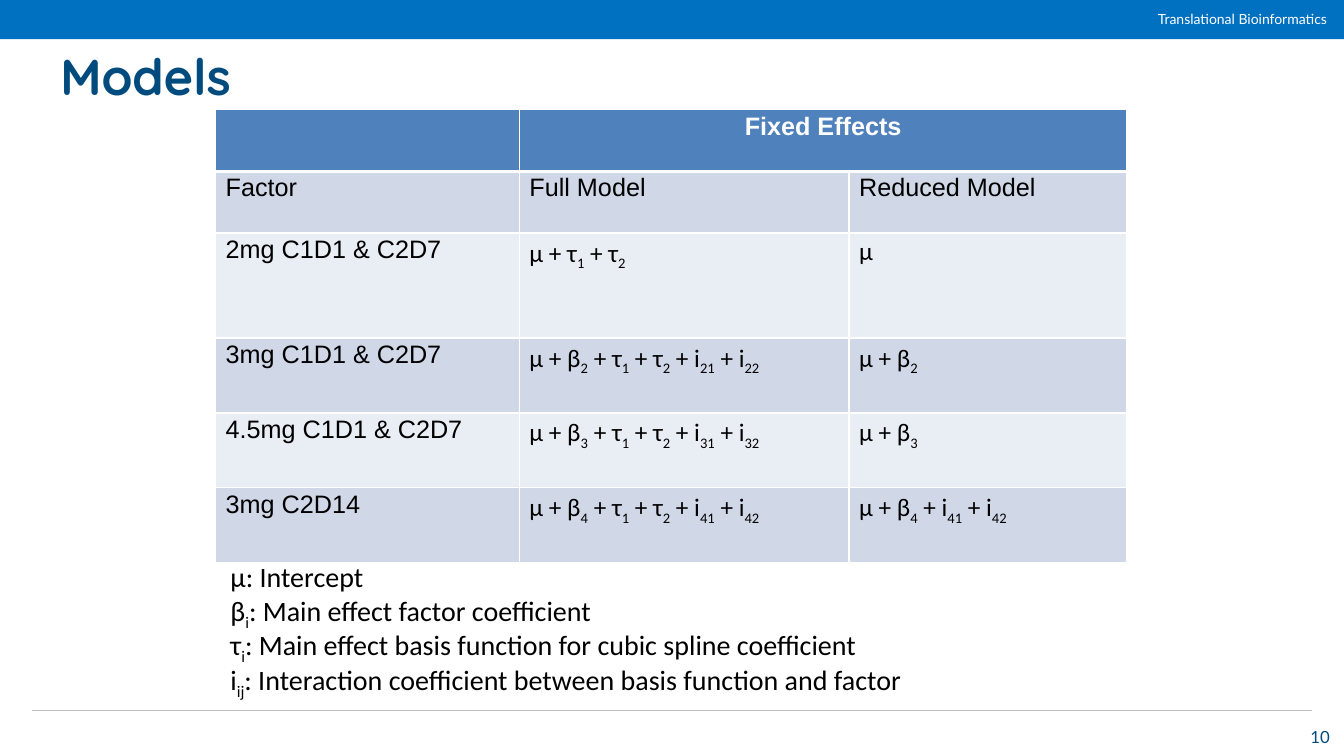
from dataclasses import dataclass

from lxml import etree
from pptx import Presentation
from pptx.dml.color import RGBColor
from pptx.enum.shapes import MSO_CONNECTOR, MSO_SHAPE
from pptx.enum.text import MSO_ANCHOR, PP_ALIGN
from pptx.oxml.ns import qn
from pptx.util import Pt

LEFT, CENTER, RIGHT = PP_ALIGN.LEFT, PP_ALIGN.CENTER, PP_ALIGN.RIGHT
TOP, MIDDLE = MSO_ANCHOR.TOP, MSO_ANCHOR.MIDDLE
RECT, STRAIGHT = MSO_SHAPE.RECTANGLE, MSO_CONNECTOR.STRAIGHT
TITLE_ONLY = 5

COLORS = {
    "bar": "0070C0", "navy": "004B7E", "rule": "BFBFBF",
    "white": "FFFFFF", "black": "000000",
    "header": "4F81BD", "band_dark": "D0D8E8", "band_light": "E9EDF4",
}


@dataclass(frozen=True)
class Style:
    font: str
    size: float
    color: str = "black"
    bold: bool = False
    align: PP_ALIGN = LEFT
    spacing: float = 0.9


@dataclass(frozen=True)
class TextBox:
    left: float
    top: float
    width: float
    height: float
    lines: tuple[str, ...]
    style: Style
    wrap: bool = False


HEADER = Style("Arial", 18, "white", True, CENTER)
LABEL = Style("Arial", 18)
FORMULA = Style("Calibri", 18)


def rgb(name: str) -> RGBColor:
    return RGBColor.from_string(COLORS[name])


def write(tf, lines: tuple[str, ...], style: Style) -> None:
    """Write one paragraph per line; every second part between bars is a subscript."""
    for n, line in enumerate(lines):
        p = tf.paragraphs[0] if n == 0 else tf.add_paragraph()
        p.alignment, p.line_spacing = style.align, style.spacing
        p.space_before = Pt(0)
        for k, part in enumerate(line.split("|")):
            if not part:
                continue
            r = p.add_run()
            r.text = part
            r.font.name, r.font.size = style.font, Pt(style.size)
            r.font.bold = style.bold
            r.font.color.rgb = rgb(style.color)
            if k % 2:
                r._r.get_or_add_rPr().set("baseline", "-25000")


def add_text(s, box: TextBox) -> None:
    sp = s.shapes.add_textbox(Pt(box.left), Pt(box.top), Pt(box.width), Pt(box.height))
    tf = sp.text_frame
    tf.word_wrap = box.wrap
    tf.vertical_anchor = TOP
    write(tf, box.lines, box.style)


def set_borders(cell, bottom: float) -> None:
    tc_pr = cell._tc.get_or_add_tcPr()
    widths = (("a:lnL", 1), ("a:lnR", 1), ("a:lnT", 1), ("a:lnB", bottom))
    for n, (tag, width) in enumerate(widths):
        ln = etree.Element(qn(tag), w=str(Pt(width)))
        fill = etree.SubElement(ln, qn("a:solidFill"))
        etree.SubElement(fill, qn("a:srgbClr"), val=COLORS["white"])
        tc_pr.insert(n, ln)


def full_model(dose: int) -> str:
    return f"μ + β|{dose}| + τ|1| + τ|2| + i|{dose}1| + i|{dose}2|"


def add_models_table(s) -> None:
    rows = (
        ("", "Fixed Effects", ""),
        ("Factor", "Full Model", "Reduced Model"),
        ("2mg C1D1 & C2D7", "μ + τ|1| + τ|2|", "μ"),
        ("3mg C1D1 & C2D7", full_model(2), "μ + β|2|"),
        ("4.5mg C1D1 & C2D7", full_model(3), "μ + β|3|"),
        ("3mg C2D14", full_model(4), "μ + β|4| + i|41| + i|42|"),
    )
    widths = (217, 235.5, 198.5)
    heights = (44, 44, 75, 53.5, 53.5, 53.5)
    table = s.shapes.add_table(len(rows), len(widths), Pt(154), Pt(78.5),
                               Pt(sum(widths)), Pt(sum(heights))).table
    table.horz_banding = False
    for col, width in zip(table.columns, widths):
        col.width = Pt(width)
    for row, height in zip(table.rows, heights):
        row.height = Pt(height)
    table.cell(0, 1).merge(table.cell(0, 2))

    for i, texts in enumerate(rows):
        band = "header" if i == 0 else "band_dark" if i % 2 else "band_light"
        for j, text in enumerate(texts):
            cell = table.cell(i, j)
            cell.fill.solid()
            cell.fill.fore_color.rgb = rgb(band)
            set_borders(cell, bottom=3 if i == 0 else 1)
            style = HEADER if i == 0 else LABEL if i == 1 or j == 0 else FORMULA
            if text:
                write(cell.text_frame, (text,), style)


def add_frame(s) -> None:
    # Top bar
    sp = s.shapes.add_shape(RECT, 0, 0, Pt(960), Pt(28))
    sp.shadow.inherit = False
    sp.fill.solid()
    sp.fill.fore_color.rgb = rgb("bar")
    sp.line.fill.background()
    # Footer rule
    rule = s.shapes.add_connector(STRAIGHT, Pt(23), Pt(507.5), Pt(937), Pt(507.5))
    rule.line.color.rgb = rgb("rule")
    rule.line.width = Pt(0.5)
    etree.SubElement(rule._element.spPr, qn("a:effectLst"))


def add_title(s) -> None:
    sp = s.shapes.title
    sp.left, sp.top, sp.width, sp.height = Pt(39.5), Pt(33), Pt(919.5), Pt(47)
    tf = sp.text_frame
    tf.margin_left = tf.margin_right = tf.margin_top = tf.margin_bottom = Pt(3.6)
    tf.vertical_anchor = MIDDLE
    write(tf, ("Models",), Style("Quicksand", 36, "navy", True))


TEXTS = (
    # Header label and page number
    TextBox(820, 5.5, 137.5, 18, ("Translational Bioinformatics",),
            Style("Lato", 10, "white")),
    TextBox(924.5, 515.5, 32.5, 21.5, ("10",),
            Style("Lato", 12, "navy", align=RIGHT, spacing=1.0)),
    # Legend of symbols
    TextBox(157.5, 399, 635, 94.5, (
        "μ: Intercept",
        "β|i|: Main effect factor coefficient",
        "τ|i|: Main effect basis function for cubic spline coefficient",
        "i|ij|: Interaction coefficient between basis function and factor",
    ), Style("Calibri", 20), wrap=True),
)


def main() -> None:
    prs = Presentation()
    prs.slide_width, prs.slide_height = Pt(960), Pt(540)
    s = prs.slides.add_slide(prs.slide_layouts[TITLE_ONLY])
    add_frame(s)
    add_title(s)
    add_models_table(s)
    for box in TEXTS:
        add_text(s, box)
    prs.save("out.pptx")


if __name__ == "__main__":
    main()
